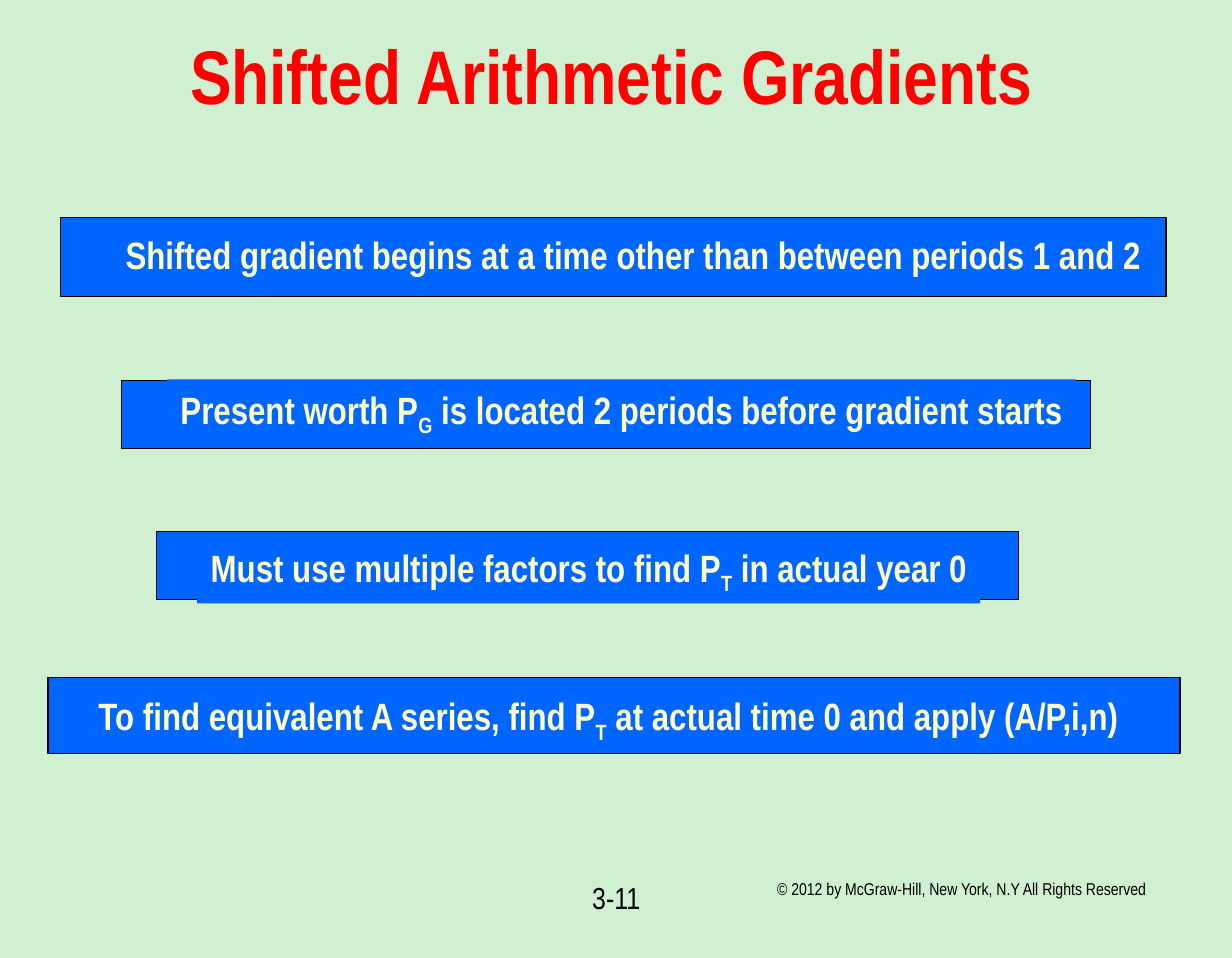
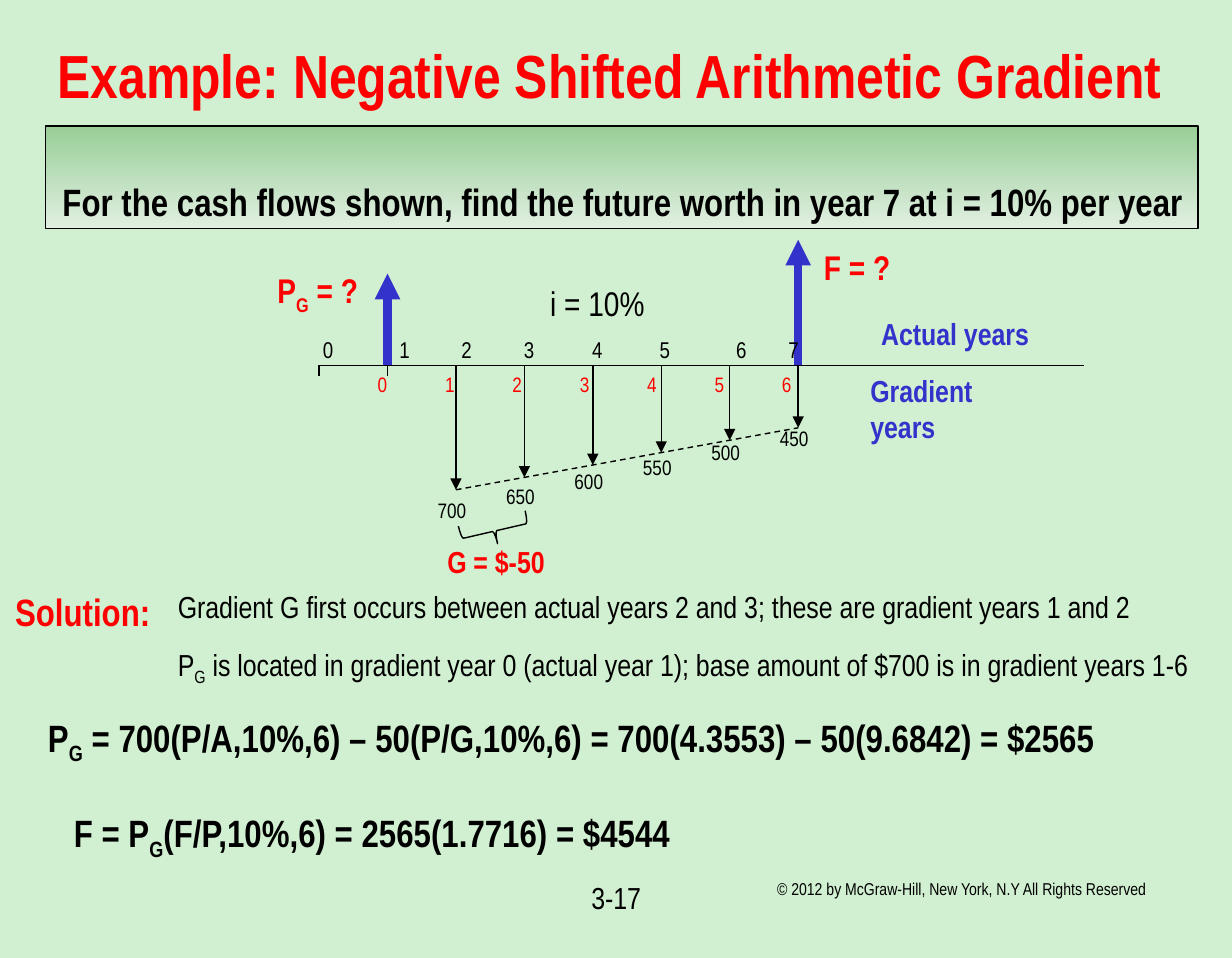
from lxml.etree import SubElement
from pptx import Presentation
from pptx.dml.color import RGBColor
from pptx.enum.dml import MSO_LINE
from pptx.enum.shapes import MSO_CONNECTOR, MSO_SHAPE
from pptx.enum.text import MSO_ANCHOR, PP_ALIGN
from pptx.oxml.ns import qn
from pptx.util import Cm, Pt

rgb = RGBColor.from_string
FONT = "Arial Narrow"
BLACK, RED, INDIGO = "000000", "FF0000", "3333CC"
BLUE, CREAM, MINT = "0066FF", "FFFFCC", "D1F0D1"
LEFT, CENTER = PP_ALIGN.LEFT, PP_ALIGN.CENTER


def add_text(shapes, box, text, size, color=BLACK, bold=False, align=LEFT,
             wrap=False, tabs=()):
    """Add a text box; underscores enclose subscripts, tabs are stops in cm."""
    tb = shapes.add_textbox(*map(Cm, box))
    tf = tb.text_frame
    tf.word_wrap = wrap
    for i, row in enumerate(text.split("\n")):
        p = tf.paragraphs[0] if i == 0 else tf.add_paragraph()
        p.alignment = align
        if tabs:
            tab_list = SubElement(p._p.get_or_add_pPr(), qn("a:tabLst"))
            for stop in tabs:
                SubElement(tab_list, qn("a:tab"), pos=str(Cm(stop)), algn="l")
        p.font.name, p.font.size, p.font.bold = FONT, Pt(size), bold
        p.font.color.rgb = rgb(color)
        for j, part in enumerate(row.split("_")):
            r = p.add_run()
            r.text = part
            if j % 2:
                r._r.get_or_add_rPr().set("baseline", "-25000")
    return tb


def add_line(s, x1, y1, x2, y2, color=BLACK, width=0.75, arrow=False):
    c = s.shapes.add_connector(MSO_CONNECTOR.STRAIGHT, *map(Cm, (x1, y1, x2, y2)))
    c.line.color.rgb = rgb(color)
    c.line.width = Pt(width)
    if arrow:
        SubElement(c.line._get_or_add_ln(), qn("a:tailEnd"), type="triangle")
    SubElement(c._element.spPr, qn("a:effectLst"))
    return c


prs = Presentation()
prs.slide_width, prs.slide_height = Cm(22.86), Cm(17.78)
prs.slide_master.background.fill.solid()
prs.slide_master.background.fill.fore_color.rgb = rgb(MINT)

# Title, copyright line and page number
slides = []
for title, box, size, page in [
    ("Shifted Arithmetic Gradients", (1.63, 0.43, 19.43, 1.9), 40, "3-11"),
    ("Example: Negative Shifted Arithmetic Gradient", (0.43, 0.64, 21.79, 1.47), 32, "3-17"),
]:
    s = prs.slides.add_slide(prs.slide_layouts[6])
    tb = add_text(s.shapes, box, title, size, RED, True, CENTER, wrap=True)
    tb.text_frame.vertical_anchor = MSO_ANCHOR.MIDDLE
    add_text(s.shapes, (14.17, 16.18, 8.05, 1.17),
             "© 2012 by McGraw-Hill, New York, N.Y All Rights Reserved", 9, wrap=True)
    add_text(s.shapes, (9.91, 16.2, 3.05, 1.19), page, 16, align=CENTER, wrap=True)
    slides.append(s)
rules_slide, example_slide = slides

# Slide 1: four banners, each a frame with a label on it
for frame_box, label_box, text in [
    ((1.12, 4.04, 20.52, 1.47), (2.08, 4.17, 19.35, 1.12),
     "Shifted gradient begins at a time other than between periods 1 and 2"),
    ((2.26, 7.06, 17.98, 1.27), (3.1, 7.04, 16.87, 1.22),
     "Present worth P_G_ is located 2 periods before gradient starts"),
    ((2.9, 9.86, 16, 1.27), (3.66, 9.98, 14.53, 1.22),
     "Must use multiple factors to find P_T_ in actual year 0"),
    ((0.89, 12.57, 21.01, 1.42), (1.5, 12.73, 19.58, 1.22),
     "To find equivalent A series, find P_T_ at actual time 0 and apply (A/P,i,n)"),
]:
    group = rules_slide.shapes.add_group_shape()
    frame = group.shapes.add_shape(MSO_SHAPE.RECTANGLE, *map(Cm, frame_box))
    frame.shadow.inherit = False
    frame.line.color.rgb = rgb(BLACK)
    frame.line.width = Pt(0.75)
    label = add_text(group.shapes, label_box, text, 20, CREAM, True, CENTER)
    for sp in (frame, label):
        sp.fill.solid()
        sp.fill.fore_color.rgb = rgb(BLUE)

# Slide 2: question
s = example_slide
panel = s.shapes.add_shape(MSO_SHAPE.RECTANGLE, Cm(0.84), Cm(2.34), Cm(21.39), Cm(1.9))
panel.shadow.inherit = False
panel.line.color.rgb = rgb(BLACK)
panel.line.width = Pt(0.75)
panel.fill.gradient()
panel.fill.gradient_angle = 270
for stop, position, color in zip(panel.fill.gradient_stops, (0, 1), ("98CE98", "E1EFE1")):
    stop.position = position
    stop.color.rgb = rgb(color)

# Cash flow diagram
AXIS_Y, YEAR_0, YEAR_STEP = 6.78, 5.92, 1.27
FLOW_END, FLOW_RISE = 9.09, 0.23
year_x = [YEAR_0 + YEAR_STEP * year for year in range(8)]
add_line(s, YEAR_0, AXIS_Y, 20.12, AXIS_Y)
for x in year_x[:2]:
    add_line(s, x, AXIS_Y, x, AXIS_Y + 0.2)
for i, x in enumerate(year_x[2:]):
    add_line(s, x, AXIS_Y, x, FLOW_END - FLOW_RISE * i, arrow=True)
    add_text(s.shapes, (x - 0.59, 9.12 - 0.27 * i, 1.04, 0.74), str(700 - 50 * i), 11)
slope = add_line(s, year_x[2], FLOW_END, year_x[7], FLOW_END - FLOW_RISE * 5)
slope.line.dash_style = MSO_LINE.DASH
for x, tip in ((year_x[1], 5.08), (year_x[7], 4.45)):
    add_line(s, x, AXIS_Y, x, tip, INDIGO, 4.5, arrow=True)

add_text(s.shapes, (5.74, 6.1, 9.37, 0.76), "\t".join("01234567"), 12, wrap=True,
         tabs=(1.42, 2.57, 3.73, 5, 6.25, 7.67, 8.64))
add_text(s.shapes, (6.76, 6.78, 8.53, 0.74), "\t".join("0123456"), 11, RED, wrap=True,
         tabs=[1.25 * year for year in range(1, 7)])

brace = s.shapes.add_shape(MSO_SHAPE.LEFT_BRACE, Cm(8.94), Cm(9.22), Cm(0.48), Cm(1.27))
brace.rotation = 257
brace.shadow.inherit = False
brace.fill.background()
brace.line.color.rgb = rgb(BLACK)
brace.line.width = Pt(0.75)

# Labels and solution
for box, text, size, color, bold in [
    ((0.91, 3.18, 21.31, 1.12),
     "For the cash flows shown, find the future worth in year 7 at i = 10% per year",
     20, BLACK, True),
    ((15.04, 4.45, 1.73, 1.02), "F = ?", 18, RED, True),
    ((4.9, 4.88, 2.01, 1.12), "P_G_ = ?", 18, RED, True),
    ((9.96, 5.11, 2.39, 1.02), "i = 10%", 18, BLACK, False),
    ((16.1, 5.72, 3.25, 0.94), "Actual years", 16, INDIGO, True),
    ((15.9, 6.78, 3.73, 0.94), "Gradient years", 16, INDIGO, True),
    ((8.05, 9.96, 2.31, 0.94), "G = $-50", 16, RED, True),
    ((0.03, 10.8, 3.02, 1.12), "Solution:", 20, RED, True),
    ((3.05, 10.8, 18.19, 0.94),
     "Gradient G first occurs between actual years 2 and 3; these are gradient years 1 and 2",
     16, BLACK, False),
    ((3.05, 11.86, 19.28, 1.04),
     "P_G_ is located in gradient year 0 (actual year 1); "
     "base amount of $700 is in gradient years 1-6", 16, BLACK, False),
]:
    add_text(s.shapes, box, text, size, color, bold)

formulas = add_text(
    s.shapes, (0.64, 13.13, 20.52, 3.02),
    "P_G_ = 700(P/A,10%,6) – 50(P/G,10%,6) = 700(4.3553) – 50(9.6842) = $2565\n"
    "F = P_G_(F/P,10%,6) = 2565(1.7716) = $4544", 20, bold=True, wrap=True)
p = formulas.text_frame.paragraphs[1]
p.space_before = Pt(23)
p._p.get_or_add_pPr().set("marL", str(Cm(0.48)))

prs.save("out.pptx")
